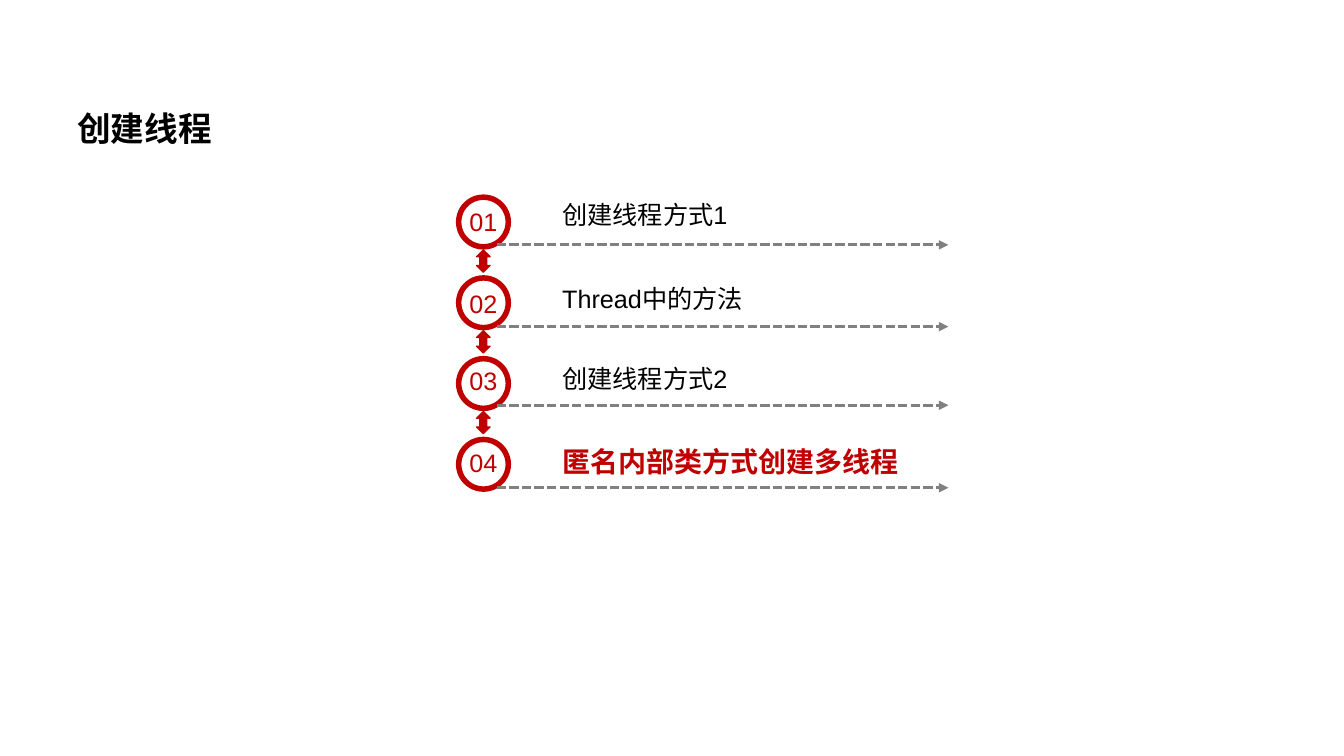
from dataclasses import dataclass

from lxml import etree
from pptx import Presentation
from pptx.dml.color import RGBColor
from pptx.enum.dml import MSO_LINE
from pptx.enum.shapes import MSO_CONNECTOR, MSO_SHAPE
from pptx.oxml.ns import qn
from pptx.util import Cm, Pt

RING = MSO_SHAPE.DONUT
DOUBLE_ARROW = MSO_SHAPE.UP_DOWN_ARROW
STRAIGHT = MSO_CONNECTOR.STRAIGHT
SQUARE_DOTS = MSO_LINE.SQUARE_DOT


@dataclass(frozen=True)
class Theme:
    font: str = "Arial"
    ink: RGBColor = RGBColor(0x00, 0x00, 0x00)
    accent: RGBColor = RGBColor(0xC0, 0x00, 0x00)
    rule: RGBColor = RGBColor(0x80, 0x80, 0x80)
    title_size: int = 24
    current_size: int = 20
    body_size: int = 18


THEME = Theme()

# Topic, then the tops of its number, label and underline in cm
TOPICS = [
    ("创建线程方式1", 5.08, 4.9, 6.17),
    ("Thread中的方法", 7.14, 7.01, 8.23),
    ("创建线程方式2", 9.07, 9.04, 10.21),
    ("匿名内部类方式创建多线程", 11.15, 11.07, 12.29),
]
CURRENT_TOPIC = 4
RING_TOP = 4.9
RING_SIZE = 1.39
RING_STEP = 2.035
ARROW_TOP = 6.3


def add_text(slide, text, left, top, width, height, *, size=THEME.body_size,
             color=THEME.ink, bold=False, wrap=True, line_spacing=None):
    frame = slide.shapes.add_textbox(
        Cm(left), Cm(top), Cm(width), Cm(height)).text_frame
    frame.word_wrap = wrap
    paragraph = frame.paragraphs[0]
    paragraph.line_spacing = line_spacing
    run = paragraph.add_run()
    run.text = text
    run.font.name = THEME.font
    run.font.size = Pt(size)
    run.font.bold = bold
    run.font.color.rgb = color


def add_accent_shape(slide, kind, left, top, width, height):
    shape = slide.shapes.add_shape(
        kind, Cm(left), Cm(top), Cm(width), Cm(height))
    shape.shadow.inherit = False
    shape.fill.solid()
    shape.fill.fore_color.rgb = THEME.accent
    return shape


def add_ring(slide, top):
    ring = add_accent_shape(slide, RING, 11.49, top, RING_SIZE, RING_SIZE)
    ring.adjustments[0] = 0.1
    ring.line.fill.background()


def add_link_arrow(slide, top):
    arrow = add_accent_shape(slide, DOUBLE_ARROW, 12.01, top, 0.34, 0.56)
    arrow.line.color.rgb = THEME.accent
    arrow.line.width = Pt(1)


def add_dotted_arrow(slide, top):
    underline = slide.shapes.add_connector(
        STRAIGHT, Cm(12.52), Cm(top), Cm(23.9), Cm(top))
    underline.line.color.rgb = THEME.rule
    underline.line.width = Pt(2.25)
    underline.line.dash_style = SQUARE_DOTS
    # Arrowhead, and no inherited shadow
    etree.SubElement(underline.line._get_or_add_ln(), qn("a:tailEnd"),
                     type="triangle")
    etree.SubElement(underline._element.spPr, qn("a:effectLst"))


def add_topic(slide, number, topic, number_top, label_top, underline_top):
    current = number == CURRENT_TOPIC
    add_ring(slide, RING_TOP + (number - 1) * RING_STEP)
    add_text(slide, f"{number:02}", 11.58, number_top, 1.22, 1.02,
             color=THEME.accent, wrap=False)
    add_dotted_arrow(slide, underline_top)
    add_text(slide, topic, 13.92, label_top, 10.06, 1.02,
             size=THEME.current_size if current else THEME.body_size,
             color=THEME.accent if current else THEME.ink, bold=current)


def main():
    deck = Presentation()
    deck.slide_width, deck.slide_height = Cm(33.87), Cm(19.05)
    slide = deck.slides.add_slide(deck.slide_layouts[6])

    # Heading
    add_text(slide, "创建线程", 1.7, 2.08, 29.82, 2.82,
             size=THEME.title_size, bold=True, line_spacing=1.5)

    # Numbered topics
    for number, topic in enumerate(TOPICS, start=1):
        add_topic(slide, number, *topic)

    # Arrows between neighbouring rings
    for gap in range(len(TOPICS) - 1):
        add_link_arrow(slide, ARROW_TOP + gap * RING_STEP)

    deck.save("out.pptx")


if __name__ == "__main__":
    main()
